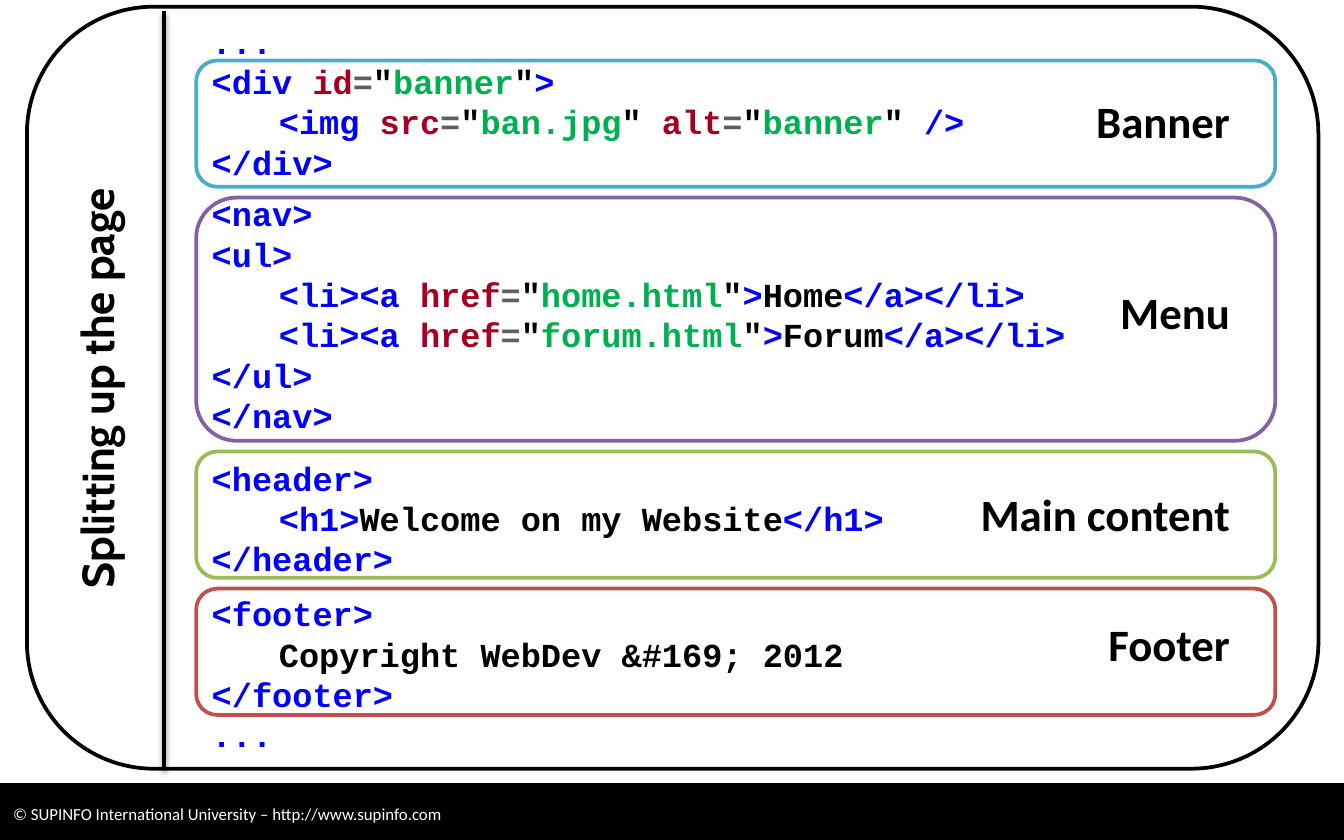
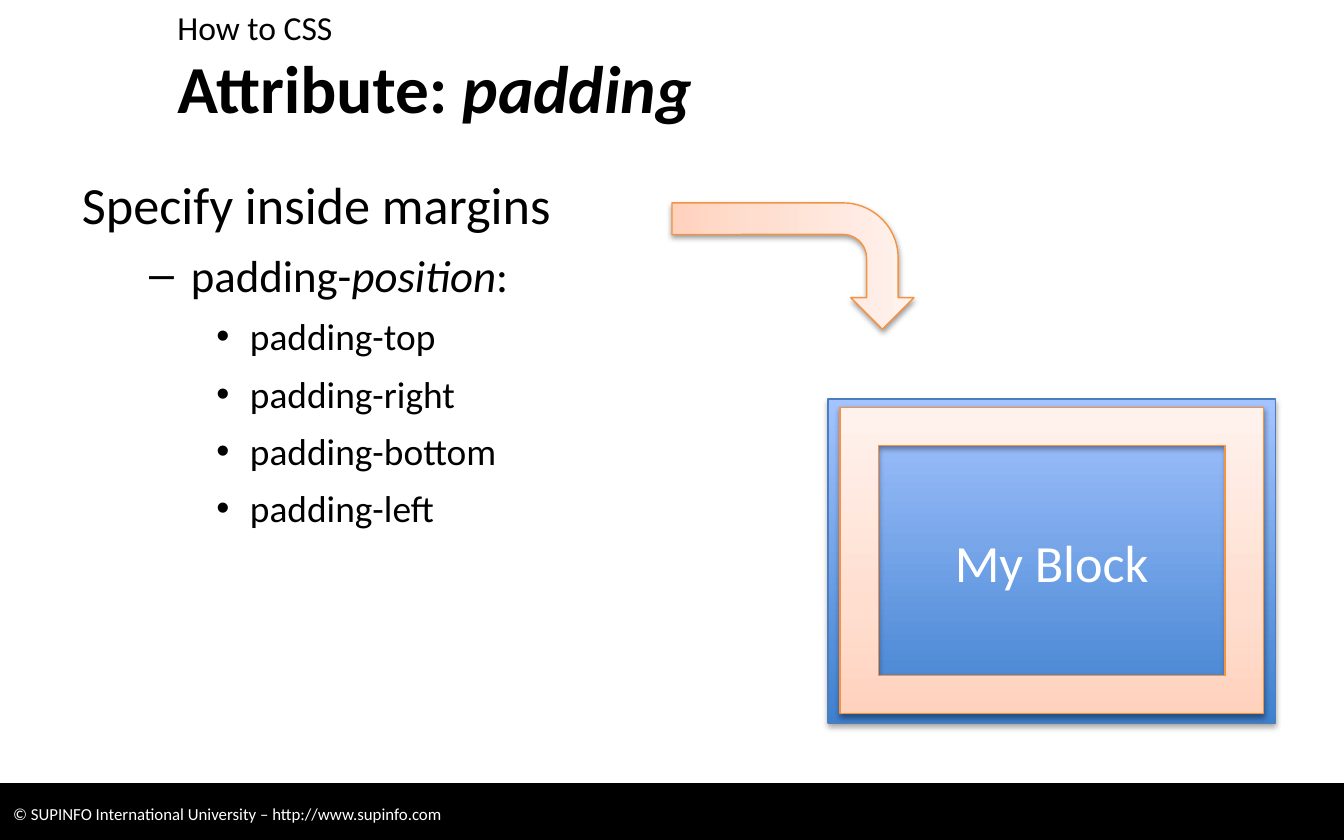
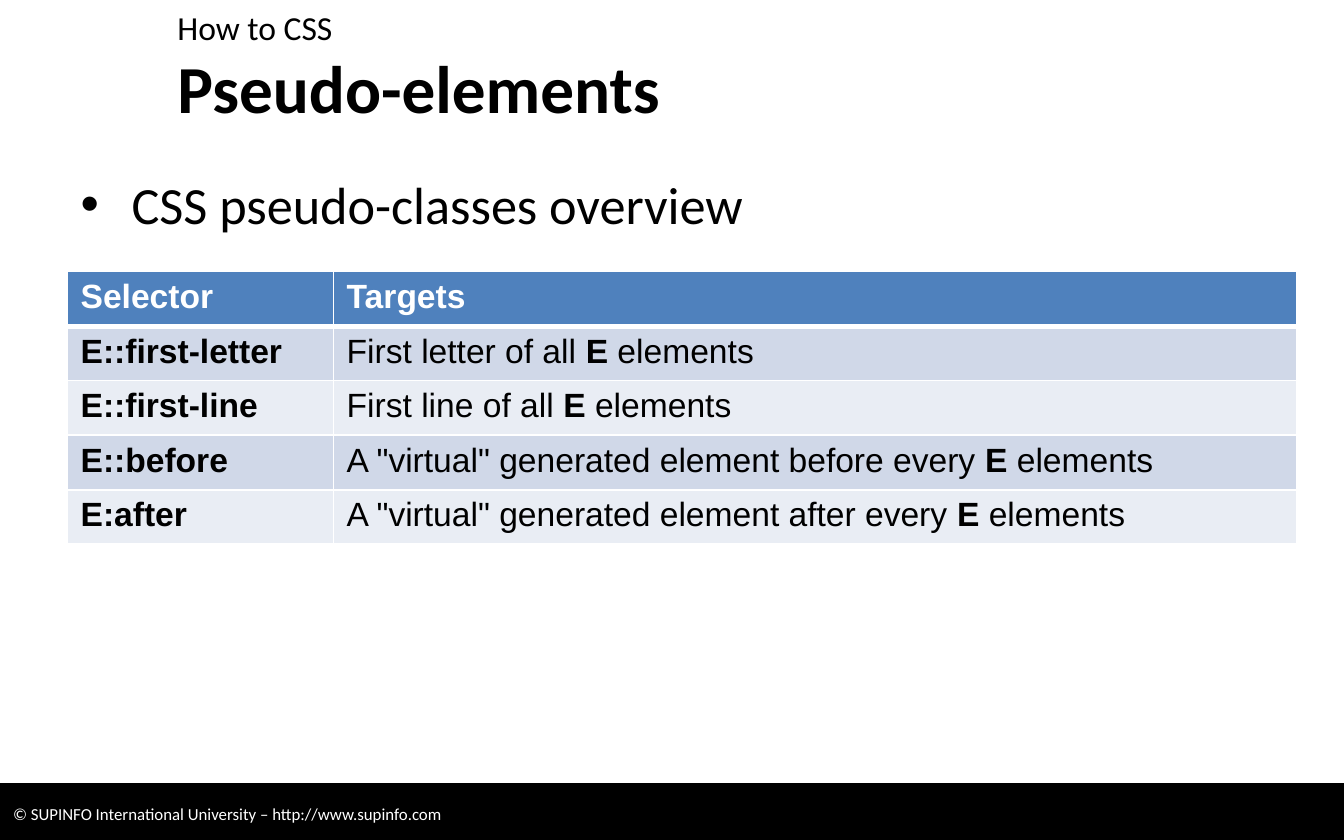
from dataclasses import dataclass

from lxml.etree import SubElement
from pptx import Presentation
from pptx.dml.color import RGBColor
from pptx.enum.shapes import MSO_CONNECTOR as Connector, MSO_SHAPE as Shape
from pptx.enum.text import MSO_ANCHOR as Anchor, MSO_AUTO_SIZE as AutoSize, PP_ALIGN as Align
from pptx.oxml.ns import qn
from pptx.util import Inches, Pt


@dataclass(frozen=True)
class Theme:
    font: str = "Calibri"
    side_font: str = "Cabin"
    code_font: str = "Courier New"
    table_font: str = "Arial"
    ink: str = "000000"
    paper: str = "FFFFFF"
    tag: str = "0000FF"
    attribute: str = "A50021"
    operator: str = "5F5F5F"
    value: str = "00B050"
    banner: str = "4BACC6"
    menu: str = "8064A2"
    content: str = "9BBB59"
    footer: str = "C0504D"
    block_line: str = "4B7EBC"
    block_stops: tuple = ((0, "3F80CE"), (100, "A4C4FF"))
    padding_line: str = "F69240"
    padding_stops: tuple = ((0, "FFD2BD"), (35, "FFDED0"), (100, "FFF2ED"))
    table_head: str = "4F81BD"
    table_rows: tuple = ("D0D8E8", "E9EDF4")
    title_size: int = 36
    lead_size: int = 28
    label_size: int = 24
    item_size: int = 20
    text_size: int = 18
    credit_size: int = 9


@dataclass(frozen=True)
class Box:
    left: float
    top: float
    width: float
    height: float

    def inner(self, dx, dy, width, height):
        return Box(self.left + dx, self.top + dy, width, height)

    @property
    def lengths(self):
        return [Inches(n) for n in (self.left, self.top, self.width, self.height)]


THEME = Theme()
CREDIT_BAR = Box(0, 5.83, 10, 0.45)
TITLE = Box(1.22, 0.37, 8.51, 0.55)
CHAPTER = Box(1.22, 0, 8.51, 0.37)


def write(frame, runs, *, size=THEME.text_size, font=THEME.font, color=THEME.ink,
          bold=False, italic=False, align=Align.LEFT, level=0, margin=0, hanging=0,
          bullet=None, before=0, after=0):
    paragraph = frame.paragraphs[0]
    if paragraph.runs:
        paragraph = frame.add_paragraph()
    paragraph.level = level
    paragraph.alignment = align
    properties = paragraph._p.get_or_add_pPr()
    properties.set("marL", str(Inches(margin)))
    properties.set("indent", str(-Inches(hanging)))
    if bullet:
        SubElement(properties, qn("a:buChar")).set("char", bullet)
    else:
        SubElement(properties, qn("a:buNone"))
    paragraph.space_before = Pt(before)
    paragraph.space_after = Pt(after)
    for text, changes in [(runs, {})] if isinstance(runs, str) else runs:
        look = {"color": color, "bold": bold, "italic": italic} | changes
        run = paragraph.add_run()
        run.text = text
        run.font.name = font
        run.font.size = Pt(size)
        run.font.bold = look["bold"]
        run.font.italic = look["italic"]
        run.font.color.rgb = RGBColor.from_string(look["color"])


def place(shape, box):
    shape.left, shape.top, shape.width, shape.height = box.lengths


def open_frame(shape, anchor=Anchor.TOP):
    frame = shape.text_frame
    frame.word_wrap = True
    frame.auto_size = AutoSize.NONE
    frame.vertical_anchor = anchor
    return frame


def cast_shadow(shape, alpha):
    properties = shape.element.spPr
    effects = properties.find(qn("a:effectLst"))
    if effects is None:
        effects = SubElement(properties, qn("a:effectLst"))
    shadow = SubElement(effects, qn("a:outerShdw"), blurRad=str(Pt(3.1)), dist=str(Pt(1.7)),
                        dir="5400000", rotWithShape="0")
    tint = SubElement(shadow, qn("a:srgbClr"), val=THEME.ink)
    SubElement(tint, qn("a:alpha"), val=str(alpha * 1000))


def fill_gradient(shape, stops):
    shape.fill.gradient()
    shape.fill.gradient_angle = 90
    stop_list = shape.element.spPr.find(qn("a:gradFill")).find(qn("a:gsLst"))
    stop_list.clear()
    for position, color in stops:
        stop = SubElement(stop_list, qn("a:gs"), pos=str(position * 1000))
        SubElement(stop, qn("a:srgbClr"), val=color)


def draw(slide, kind, box, line, weight, fill=None, stops=None, shadow=None):
    shape = slide.shapes.add_shape(kind, *box.lengths)
    shape.shadow.inherit = False
    if stops:
        fill_gradient(shape, stops)
    elif fill:
        shape.fill.solid()
        shape.fill.fore_color.rgb = RGBColor.from_string(fill)
    else:
        shape.fill.background()
    shape.line.color.rgb = RGBColor.from_string(line)
    shape.line.width = Pt(weight)
    if shadow:
        cast_shadow(shape, shadow)
    return shape


def add_credit_bar(master, slide, box):
    bar = draw(slide, Shape.RECTANGLE, box, THEME.ink, 0.75, fill=THEME.ink)
    write(open_frame(bar, Anchor.MIDDLE),
          "© SUPINFO International University – http://www.supinfo.com",
          size=THEME.credit_size, color=THEME.paper)
    bar.element.nvSpPr.cNvPr.set("id", "20")
    master.shapes.element.append(bar.element)


def tag(text):
    return [(text, {"color": THEME.tag})]


def plain(text):
    return [(text, {"color": THEME.ink})]


def attribute(name, value):
    return [(name, {"color": THEME.attribute}), ("=", {"color": THEME.operator}),
            *plain('"'), (value, {"color": THEME.value}), *plain('"')]


def menu_item(page, label):
    return (tag("<li><a ") + attribute("href", page) + tag(">")
            + plain(label) + tag("</a></li>"))


def code_lines():
    image = (tag("<img ") + attribute("src", "ban.jpg") + plain(" ")
             + attribute("alt", "banner") + plain(" ") + tag("/>"))
    return [
        (2, tag("..."), 0),
        (2, tag("<div ") + attribute("id", "banner") + tag(">"), 0),
        (3, image, 0),
        (2, tag("</div>"), 6),
        (2, tag("<nav>"), 0),
        (2, tag("<ul>"), 0),
        (3, menu_item("home.html", "Home"), 0),
        (3, menu_item("forum.html", "Forum"), 0),
        (2, tag("</ul>"), 0),
        (2, tag("</nav>"), 12),
        (2, tag("<header>"), 0),
        (3, tag("<h1>") + plain("Welcome on my Website") + tag("</h1>"), 0),
        (2, tag("</header>"), 8),
        (2, tag("<footer>"), 0),
        (3, plain("Copyright WebDev &#169; 2012"), 0),
        (2, tag("</footer>"), 0),
        (2, tag("..."), 0),
    ]


def add_code_panel(slide, box):
    panel = draw(slide, Shape.ROUNDED_RECTANGLE, box, THEME.ink, 2, fill=THEME.paper)
    frame = open_frame(panel, Anchor.MIDDLE)
    for level, runs, after in code_lines():
        write(frame, runs, font=THEME.code_font, bold=True, level=level,
              margin=level / 2, after=after)


def add_side_title(slide, box):
    x, top, bottom = Inches(box.left + box.width), Inches(box.top + 0.03), Inches(box.top + box.height)
    divider = slide.shapes.add_connector(Connector.STRAIGHT, x, top, x, bottom)
    divider.line.color.rgb = RGBColor.from_string(THEME.ink)
    divider.line.width = Pt(2)
    cast_shadow(divider, 38)
    title = slide.shapes.title
    place(title, box.inner(-1.92, 2.59, 4.88, 0.5))
    title.rotation = 270
    write(open_frame(title, Anchor.MIDDLE), "Splitting up the page", size=THEME.label_size,
          font=THEME.side_font, bold=True, align=Align.CENTER)
    title.element.getparent().append(title.element)


def add_sections(slide, box):
    sections = [("Banner", THEME.banner, 0.94, 0.2), ("Menu", THEME.menu, 1.81, 0.6),
                ("Main content", THEME.content, 0.94, 0.21), ("Footer", THEME.footer, 0.94, 0.16)]
    gap, label_width, label_inset = 0.08, 2.13, 0.24
    offset = 0
    for name, color, height, label_top in sections:
        section = box.inner(0, offset, box.width, height)
        draw(slide, Shape.ROUNDED_RECTANGLE, section, color, 2)
        label_box = section.inner(box.width - label_inset - label_width, label_top, label_width, 0.5)
        label = slide.shapes.add_textbox(*label_box.lengths)
        write(open_frame(label), name, size=THEME.label_size, bold=True, align=Align.RIGHT)
        offset += height + gap


def add_headings(slide, title):
    write(open_frame(slide.shapes.title, Anchor.MIDDLE), title, size=THEME.title_size, bold=True)
    write(open_frame(slide.placeholders[1]), "How to CSS")


def add_padding_list(slide, box):
    body = slide.placeholders[2]
    place(body, box)
    frame = open_frame(body)
    body.element.txBody.bodyPr.set("numCol", "2")
    write(frame, "Specify inside margins", size=THEME.lead_size)
    write(frame, [("padding-", {}), ("position", {"italic": True}), (":", {})],
          size=THEME.label_size, level=1, margin=0.81, hanging=0.31, bullet="–", before=6.7)
    for side in ("top", "right", "bottom", "left"):
        write(frame, f"padding-{side}", size=THEME.item_size, level=2, margin=1.25,
              hanging=0.25, bullet="•", before=6.7)


def add_block(slide, box):
    block = draw(slide, Shape.RECTANGLE, box, THEME.block_line, 0.75,
                 stops=THEME.block_stops, shadow=35)
    write(open_frame(block, Anchor.MIDDLE), "My Block", size=THEME.lead_size,
          color=THEME.paper, align=Align.CENTER)
    padding = {"line": THEME.padding_line, "weight": 0.75,
               "stops": THEME.padding_stops, "shadow": 38}
    arrow = draw(slide, Shape.BENT_ARROW, box.inner(-0.73, -1.89, 0.94, 1.8), **padding)
    arrow.rotation = 90
    draw(slide, Shape.FRAME, box.inner(0.09, 0.06, 3.15, 2.28), **padding)


def add_overview(slide, box):
    body = slide.placeholders[2]
    place(body, box)
    write(open_frame(body), "CSS pseudo-classes overview", size=THEME.lead_size,
          margin=0.38, hanging=0.38, bullet="•")


def set_borders(cell, row):
    weights = {"L": 1, "R": 1, "T": 3 if row == 1 else 1, "B": 3 if row == 0 else 1}
    for side, weight in weights.items():
        border = SubElement(cell._tc.get_or_add_tcPr(), qn(f"a:ln{side}"), w=str(Pt(weight)))
        SubElement(SubElement(border, qn("a:solidFill")), qn("a:srgbClr"), val=THEME.paper)


def add_selector_table(slide, box):
    targets = [("E::first-letter", "First letter of all "),
               ("E::first-line", "First line of all "),
               ("E::before", 'A "virtual" generated element before every '),
               ("E:after", 'A "virtual" generated element after every ')]
    rows = [("Selector", [("Targets", {"bold": True})])]
    rows += [(selector, [(start, {}), ("E ", {"bold": True}), ("elements", {})])
             for selector, start in targets]
    table = slide.shapes.add_table(len(rows), 2, *box.lengths).table
    for column, width in zip(table.columns, (1.98, box.width - 1.98)):
        column.width = Inches(width)
    for r, (selector, target) in enumerate(rows):
        fill = THEME.table_rows[(r - 1) % 2] if r else THEME.table_head
        for c, runs in enumerate(([(selector, {"bold": True})], target)):
            cell = table.cell(r, c)
            set_borders(cell, r)
            cell.fill.solid()
            cell.fill.fore_color.rgb = RGBColor.from_string(fill)
            write(cell.text_frame, runs, font=THEME.table_font,
                  color=THEME.ink if r else THEME.paper)


def build_page_split(slide):
    panel = Box(0.2, 0.05, 9.61, 5.67)
    add_code_panel(slide, panel)
    add_side_title(slide, panel.inner(0, 0, 1.02, panel.height))
    add_sections(slide, panel.inner(1.26, 0.4, 8.03, 4.87))


def build_padding(slide):
    add_headings(slide, [("Attribute: ", {}), ("padding", {"italic": True})])
    add_padding_list(slide, Box(0.51, 1.23, 9.06, 4.63))
    add_block(slide, Box(6.16, 2.97, 3.33, 2.41))


def build_pseudo_elements(slide):
    add_headings(slide, "Pseudo-elements")
    add_overview(slide, Box(0.5, 1.23, 9.23, 4.63))
    add_selector_table(slide, Box(0.5, 2.02, 9.15, 2.03))


def main():
    deck = Presentation()
    deck.slide_width, deck.slide_height = Inches(10), Inches(6.25)
    lesson, title_only = deck.slide_layouts[3], deck.slide_layouts[5]
    for placeholder, box in zip(lesson.placeholders, (TITLE, CHAPTER)):
        place(placeholder, box)
    first = deck.slides.add_slide(title_only)
    add_credit_bar(deck.slide_master, first, CREDIT_BAR)
    build_page_split(first)
    build_padding(deck.slides.add_slide(lesson))
    build_pseudo_elements(deck.slides.add_slide(lesson))
    deck.save("out.pptx")


if __name__ == "__main__":
    main()
